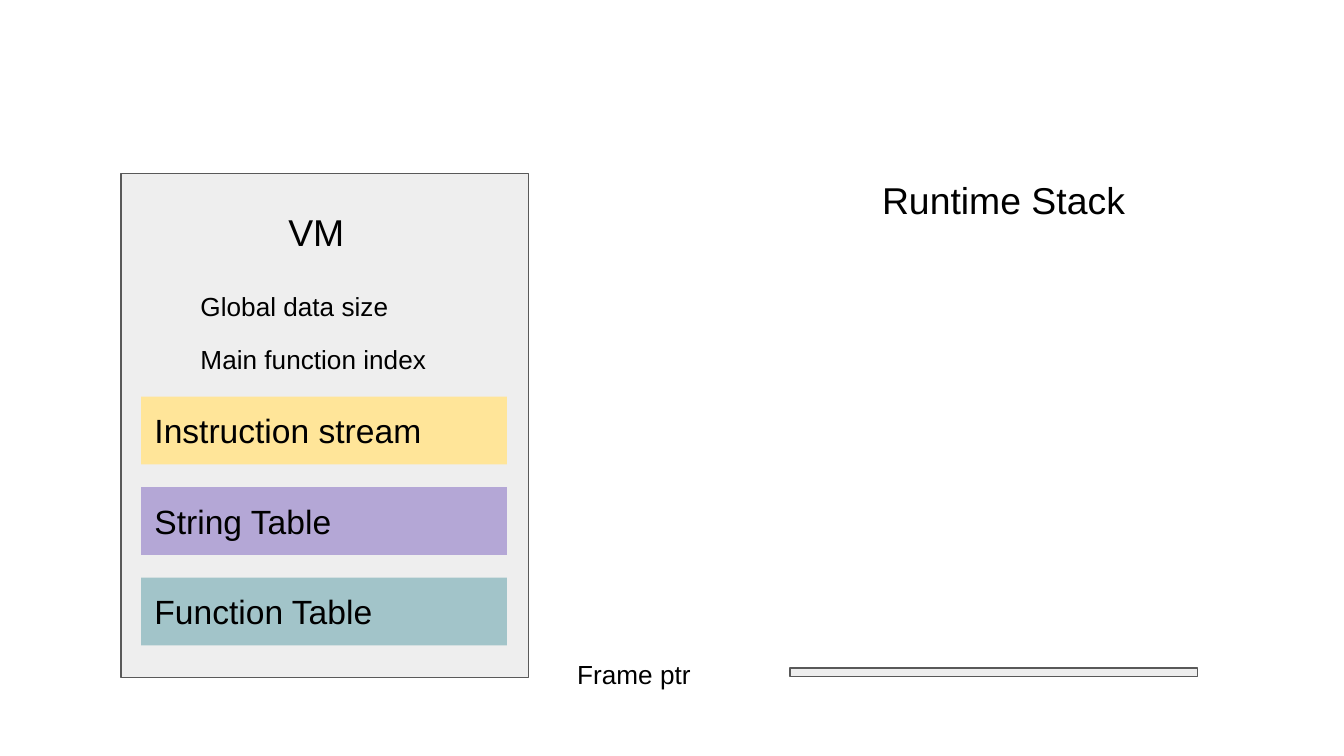
from pptx import Presentation
from pptx.dml.color import RGBColor
from pptx.enum.shapes import MSO_SHAPE
from pptx.enum.text import MSO_ANCHOR, MSO_AUTO_SIZE, PP_ALIGN
from pptx.util import Cm, Pt

COLORS = {
    "panel": "EEEEEE",
    "border": "595959",
    "text": "000000",
    "instructions": "FFE599",
    "strings": "B4A7D6",
    "functions": "A2C4C9",
}


class Diagram:
    """Draws styled boxes and labels on the current slide, in centimetres."""

    font_name = "Arial"
    inset = 0.25
    border_width = 0.75

    def __init__(self, slide):
        self.slide = slide

    def color(self, name):
        return RGBColor.from_string(COLORS[name])

    def set_text(self, frame, text, size):
        frame.word_wrap = True
        frame.auto_size = MSO_AUTO_SIZE.SHAPE_TO_FIT_TEXT
        frame.vertical_anchor = MSO_ANCHOR.TOP
        frame.margin_left = frame.margin_right = Cm(self.inset)
        frame.margin_top = frame.margin_bottom = Cm(self.inset)
        paragraph = frame.paragraphs[0]
        paragraph.text = text
        paragraph.alignment = PP_ALIGN.LEFT
        paragraph.font.name = self.font_name
        paragraph.font.size = Pt(size)
        paragraph.font.color.rgb = self.color("text")

    def box(self, left, top, width, height, fill):
        box = self.slide.shapes.add_shape(
            MSO_SHAPE.RECTANGLE, Cm(left), Cm(top), Cm(width), Cm(height)
        )
        box.shadow.inherit = False
        box.fill.solid()
        box.fill.fore_color.rgb = self.color(fill)
        return box

    def panel(self, left, top, width, height):
        panel = self.box(left, top, width, height, "panel")
        panel.line.color.rgb = self.color("border")
        panel.line.width = Pt(self.border_width)

    def band(self, left, top, width, height, fill, text):
        band = self.box(left, top, width, height, fill)
        band.line.fill.background()
        self.set_text(band.text_frame, text, 18)

    def label(self, left, top, width, height, text, size):
        label = self.slide.shapes.add_textbox(
            Cm(left), Cm(top), Cm(width), Cm(height)
        )
        self.set_text(label.text_frame, text, size)


def main():
    presentation = Presentation()
    presentation.slide_width = Cm(25.4)
    presentation.slide_height = Cm(14.29)
    diagram = Diagram(presentation.slides.add_slide(presentation.slide_layouts[6]))

    panel_width = 7.7
    diagram.panel(2.29, 3.28, panel_width, 9.53)

    sections = [
        ("instructions", "Instruction stream"),
        ("strings", "String Table"),
        ("functions", "Function Table"),
    ]
    for row, (fill, text) in enumerate(sections):
        diagram.band(2.67, 7.5 + row * 1.71, 6.91, 1.28, fill, text)

    title_height, field_height = 1.37, 1.12
    diagram.label(5.2, 3.71, 3.1, title_height, "VM", 20)
    diagram.label(16.42, 3.1, 6.2, title_height, "Runtime Stack", 20)
    for row, text in enumerate(["Global data size", "Main function index"]):
        diagram.label(3.54, 5.24 + row * 1.01, 5.16, field_height, text, 14)
    diagram.label(10.66, 12.2, 2.74, field_height, "Frame ptr", 14)

    diagram.panel(14.93, 12.63, panel_width, 0.16)
    presentation.save("out.pptx")


if __name__ == "__main__":
    main()
